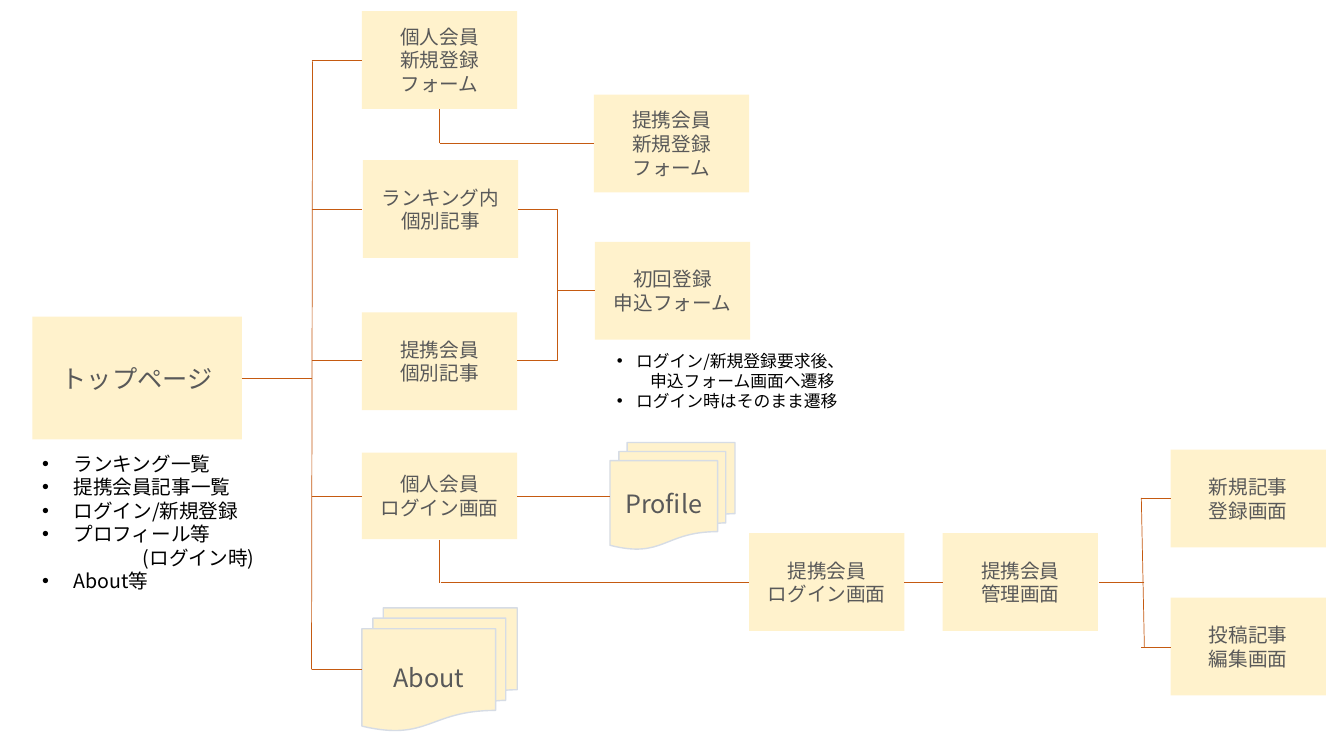
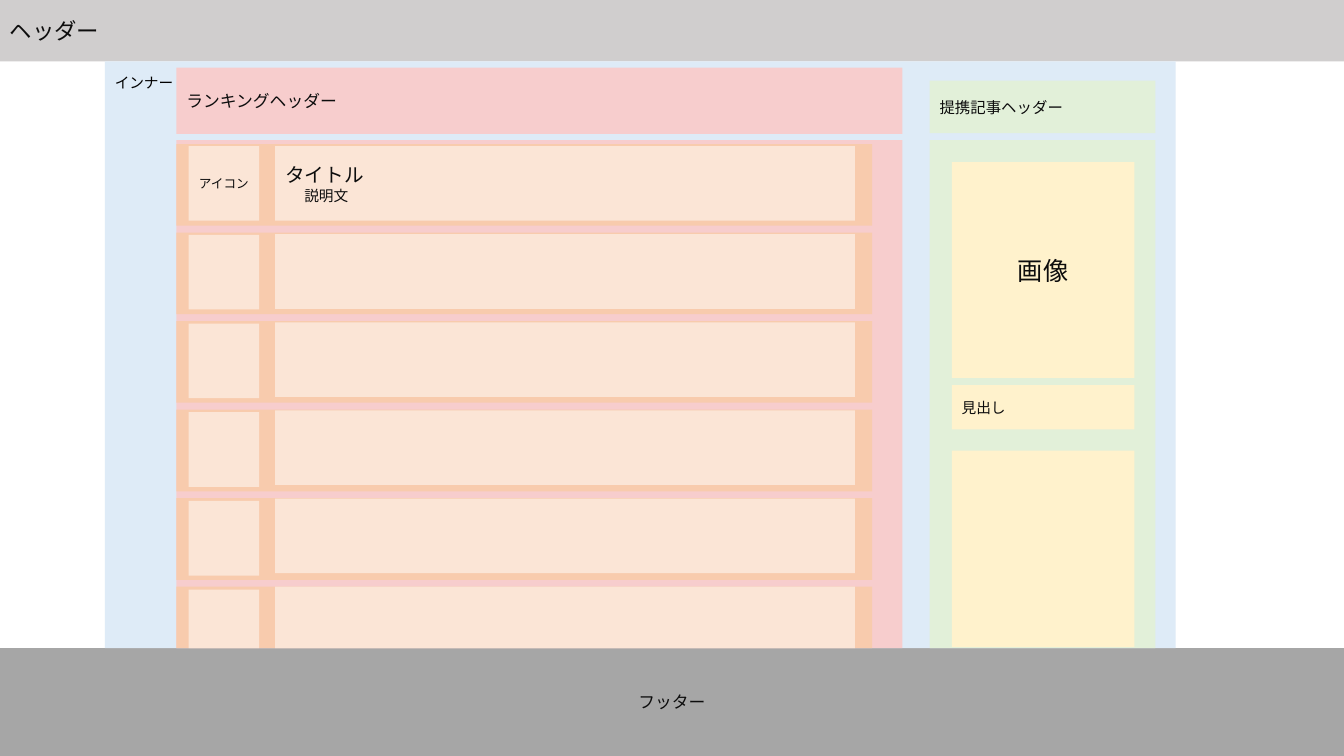
from lxml import etree
from pptx import Presentation
from pptx.dml.color import RGBColor
from pptx.enum.lang import MSO_LANGUAGE_ID as Language
from pptx.enum.shapes import MSO_CONNECTOR as Connector, MSO_SHAPE as Shape
from pptx.enum.text import MSO_ANCHOR as Anchor, MSO_AUTO_SIZE as AutoSize, PP_ALIGN as Align
from pptx.oxml.ns import qn
from pptx.util import Inches, Pt

FONT = "Noto Sans CJK JP"
CREAM = RGBColor(0xFF, 0xF2, 0xCC)
OUTLINE = RGBColor(0xD6, 0xDC, 0xE5)
RUST = RGBColor(0xC5, 0x5A, 0x11)
GRAY_TEXT = RGBColor(0x59, 0x59, 0x59)
DARK_TEXT = RGBColor(0x0D, 0x0D, 0x0D)
BLACK = RGBColor(0, 0, 0)
HEADER_GRAY = RGBColor(0xD0, 0xCE, 0xCE)
FOOTER_GRAY = RGBColor(0xA6, 0xA6, 0xA6)
BLUE = RGBColor(0xDE, 0xEB, 0xF7)
PINK = RGBColor(0xF7, 0xCD, 0xCD)
GREEN = RGBColor(0xE2, 0xF0, 0xD9)
ORANGE = RGBColor(0xF8, 0xCB, 0xAD)
PEACH = RGBColor(0xFB, 0xE5, 0xD6)


def add_box(page, text, place, fill=None, line=None, kind=Shape.RECTANGLE, size=14,
            color=DARK_TEXT, align=Align.LEFT, bullet=None, indents={}, sizes={}):
    area = [Inches(value) for value in place]
    if fill is None:
        box = page.shapes.add_textbox(*area)
        box.text_frame.auto_size = AutoSize.SHAPE_TO_FIT_TEXT
    else:
        box = page.shapes.add_shape(kind, *area)
        box.shadow.inherit = False
        box.fill.solid()
        box.fill.fore_color.rgb = fill
        box.text_frame.vertical_anchor = Anchor.MIDDLE
        if line is None:
            box.line.fill.background()
        else:
            box.line.color.rgb = line
            box.line.width = Pt(1)
    frame = box.text_frame
    frame.word_wrap = True
    for index, words in enumerate(text.split("\n") if text else []):
        para = frame.add_paragraph() if index else frame.paragraphs[0]
        para.alignment = align
        properties = para._p.get_or_add_pPr()
        if index in indents:
            properties.set("marL", str(Inches(indents[index])))
        elif bullet:
            properties.set("marL", str(Inches(bullet)))
            properties.set("indent", str(-Inches(bullet)))
            etree.SubElement(properties, qn("a:buFont")).set("typeface", "Arial")
            etree.SubElement(properties, qn("a:buChar")).set("char", "•")
        span = para.add_run()
        span.text = words
        span.font.size = Pt(sizes.get(index, size))
        span.font.color.rgb = color
        span.font.name = FONT
        span.font.language_id = Language.JAPANESE
        etree.SubElement(span.font._element, qn("a:ea")).set("typeface", FONT)


def add_line(page, start_x, start_y, end_x, end_y, kind=Connector.STRAIGHT):
    ends = [Inches(value) for value in (start_x, start_y, end_x, end_y)]
    line = page.shapes.add_connector(kind, *ends)
    line.line.color.rgb = RUST
    line.line.width = Pt(0.5)
    etree.SubElement(line.element.spPr, qn("a:effectLst"))
    return line


deck = Presentation()
deck.slide_width = Inches(13.33)
deck.slide_height = Inches(7.5)
blank = deck.slide_layouts[6]

sitemap = deck.slides.add_slide(blank)
node_style = dict(fill=CREAM, color=GRAY_TEXT, align=Align.CENTER)
add_box(sitemap, "トップページ", (0.32, 3.14, 2.08, 1.22), size=18, **node_style)

for words, left, top, height in [
    ("個人会員\n新規登録フォーム", 3.59, 0.11, 0.97),
    ("ランキング内個別記事", 3.6, 1.59, 0.97),
    ("提携会員\n個別記事", 3.59, 3.1, 0.97),
    ("個人会員\nログイン画面", 3.59, 4.49, 0.86),
    ("提携会員\n新規登録\nフォーム", 5.89, 0.94, 0.97),
    ("初回登録\n申込フォーム", 5.9, 2.4, 0.97),
    ("提携会員\nログイン画面", 7.43, 5.29, 0.97),
    ("提携会員\n管理画面", 9.35, 5.29, 0.97),
    ("新規記事\n登録画面", 11.61, 4.46, 0.97),
    ("投稿記事\n編集画面", 11.61, 5.93, 0.97),
]:
    add_box(sitemap, words, (left, top, 1.54, height), **node_style)

for words, place in [("About", (3.59, 6.03, 1.54, 1.22)), ("Profile", (6.05, 4.39, 1.24, 1.06))]:
    add_box(sitemap, words, place, kind=Shape.FLOWCHART_MULTIDOCUMENT, line=OUTLINE,
            size=18, **node_style)

add_box(sitemap,
        "ランキング一覧\n提携会員記事一覧\nログイン/新規登録\nプロフィール等\n(ログイン時)\nAbout等",
        (0.32, 4.43, 2.54, 1.99), color=BLACK, bullet=0.31, indents={4: 1})
add_box(sitemap, "ログイン/新規登録要求後、\n申込フォーム画面へ遷移\nログイン時はそのまま遷移",
        (6.02, 3.43, 2.81, 1.41), size=12, color=BLACK, bullet=0.19, indents={1: 0.33})

for branch_y in (0.6, 2.08, 3.58, 4.92, 6.64):
    add_line(sitemap, 3.09, branch_y, 3.59, branch_y)
for ends in [
    (2.4, 3.75, 3.09, 3.75),
    (3.09, 6.64, 3.1, 0.61),
    (4.36, 1.42, 4.36, 1.08),
    (4.36, 1.42, 5.89, 1.42),
    (5.9, 2.88, 5.52, 2.88),
    (5.13, 4.92, 6.05, 4.92),
    (4.36, 5.78, 4.36, 5.36),
    (4.37, 5.78, 7.43, 5.78),
    (9.35, 5.78, 8.97, 5.78),
    (11.35, 5.78, 10.9, 5.78),
    (11.32, 4.94, 11.35, 6.42),
    (11.61, 4.94, 11.32, 4.94),
    (11.61, 6.42, 11.32, 6.42),
]:
    add_line(sitemap, *ends)

bracket = add_line(sitemap, 5.14, 2.08, 5.13, 3.58, kind=Connector.ELBOW)
bend = etree.SubElement(bracket.element.spPr.find(".//" + qn("a:avLst")), qn("a:gd"))
bend.set("name", "adj1")
bend.set("fmla", "val -4000000")

wireframe = deck.slides.add_slide(blank)
FOOTER_TOP = 6.43
add_box(wireframe, "ヘッダー", (0, 0, 13.33, 0.61), fill=HEADER_GRAY, size=16)
add_box(wireframe, "フッター", (0, FOOTER_TOP, 13.33, 1.07), fill=FOOTER_GRAY, size=12,
        align=Align.CENTER)
add_box(wireframe, "", (1.04, 0.61, 10.62, 5.82), fill=BLUE)
add_box(wireframe, "インナー", (1.04, 0.68, 2.13, 0.29), size=10.5, color=BLACK)
add_box(wireframe, "", (1.75, 1.39, 7.2, 5.04), fill=PINK)
add_box(wireframe, "ランキングヘッダー", (1.75, 0.67, 7.2, 0.66), fill=PINK, size=12)
add_box(wireframe, "", (9.22, 1.39, 2.24, 5.04), fill=GREEN)
add_box(wireframe, "提携記事ヘッダー", (9.22, 0.8, 2.24, 0.52), fill=GREEN, size=11)

ROWS = 6
for words, left, first_top, last_top, width, height, style in [
    ("", 1.75, 1.43, 5.82, 6.9, 0.81, dict(fill=ORANGE)),
    ("アイコン", 1.87, 1.45, 5.85, 0.7, 0.74, dict(fill=PEACH, size=9, align=Align.CENTER)),
    ("タイトル\n説明文", 2.73, 1.45, 5.82, 5.75, 0.74,
     dict(fill=PEACH, indents={1: 0.19}, sizes={1: 10.5})),
]:
    for row in range(ROWS):
        top = first_top + row * (last_top - first_top) / (ROWS - 1)
        add_box(wireframe, "" if row else words,
                (left, top, width, min(height, FOOTER_TOP - top)), **style)

add_box(wireframe, "画像", (9.44, 1.61, 1.81, 2.14), fill=CREAM, size=18, align=Align.CENTER)
add_box(wireframe, "見出し", (9.44, 3.82, 1.81, 0.44), fill=CREAM, size=10.5)
add_box(wireframe, "", (9.44, 4.47, 1.81, 1.95), fill=CREAM)

deck.save("out.pptx")
